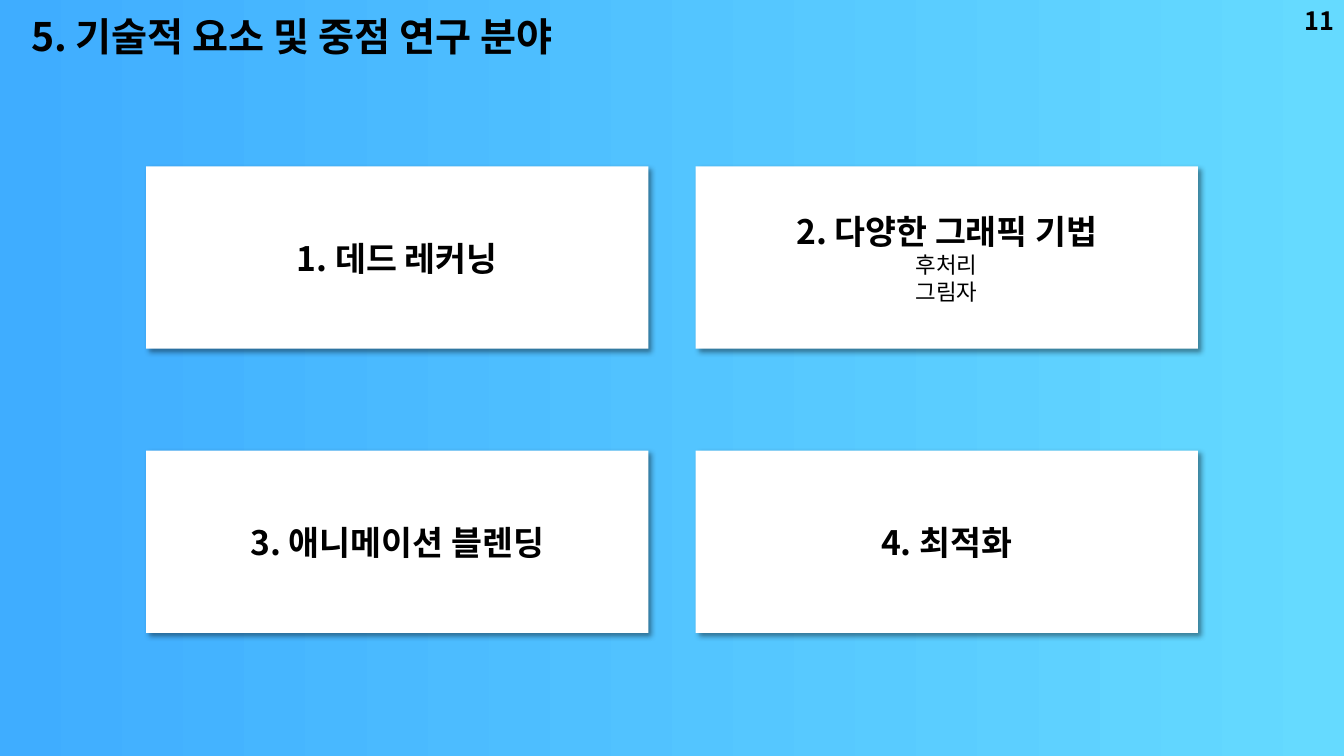
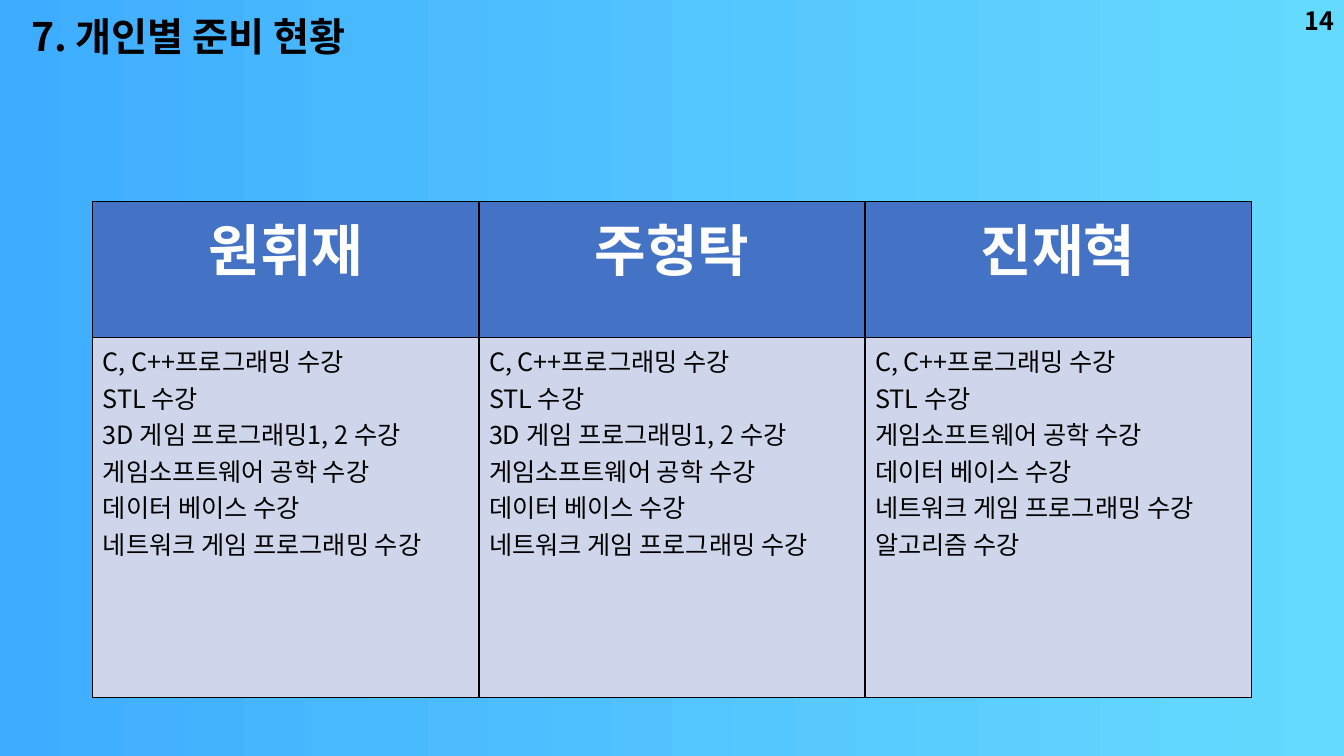
from dataclasses import dataclass

from lxml import etree
from pptx import Presentation
from pptx import util as u
from pptx.dml.color import RGBColor
from pptx.enum import shapes, text
from pptx.oxml import ns

PX = 9144


@dataclass(frozen=True)
class Theme:
    font: str = "Noto Sans CJK KR"
    black: str = "000000"
    white: str = "FFFFFF"
    sky_left: str = "3FADFF"
    sky_right: str = "65DAFF"
    header: str = "4472C4"
    body: str = "CFD5EA"
    title_pt: int = 28
    number_pt: int = 18
    card_pt: int = 24
    note_pt: int = 16
    name_pt: int = 40
    course_pt: int = 18


T = Theme()


def add_node(parent, tag, **attrs):
    return etree.SubElement(parent, ns.qn(tag), {k: str(v) for k, v in attrs.items()})


def style(p, size, color=T.black, bold=True, align=text.PP_ALIGN.LEFT):
    p.alignment = align
    for r in p.runs:
        r.font.size = u.Pt(size)
        r.font.bold = bold
        r.font.name = T.font
        r.font.color.rgb = RGBColor.from_string(color)
        add_node(r.font._element, "a:ea", typeface=T.font)


prs = Presentation()
prs.slide_width, prs.slide_height = 1333 * PX, 750 * PX

sky = prs.slide_master.background.fill
sky.gradient()
sky.gradient_angle = 0
for stop, color in zip(sky.gradient_stops, (T.sky_left, T.sky_right)):
    stop.color.rgb = RGBColor.from_string(color)

slides = []
for title, number in (("5. 기술적 요소 및 중점 연구 분야", "11"), ("7. 개인별 준비 현황", "14")):
    s = prs.slides.add_slide(prs.slide_layouts[6])
    slides.append(s)
    for content, x, y, w, h, size, anchor, align in (
        (title, 21, 7, 608, 57, T.title_pt, text.MSO_ANCHOR.TOP, text.PP_ALIGN.LEFT),
        (number, 1033, 0, 300, 40, T.number_pt, text.MSO_ANCHOR.MIDDLE, text.PP_ALIGN.RIGHT),
    ):
        tf = s.shapes.add_textbox(x * PX, y * PX, w * PX, h * PX).text_frame
        tf.word_wrap = True
        tf.vertical_anchor = anchor
        tf.text = content
        style(tf.paragraphs[0], size, align=align)

research_slide, team_slide = slides

cards = ("1. 데드 레커닝", "2. 다양한 그래픽 기법\n후처리\n그림자", "3. 애니메이션 블렌딩", "4. 최적화")
for i, content in enumerate(cards):
    row, col = divmod(i, 2)
    sp = research_slide.shapes.add_shape(
        shapes.MSO_SHAPE.RECTANGLE, (145 + 545 * col) * PX, (165 + 282 * row) * PX, 498 * PX, 181 * PX)
    sp.fill.solid()
    sp.fill.fore_color.rgb = RGBColor.from_string(T.white)
    sp.line.fill.background()
    sp.shadow.inherit = False
    effects = sp._element.spPr.find(ns.qn("a:effectLst"))
    shadow = add_node(effects, "a:outerShdw", blurRad=u.Pt(4), dist=u.Pt(3),
                      dir=45 * 60000, algn="tl", rotWithShape=0)
    add_node(add_node(shadow, "a:srgbClr", val=T.black), "a:alpha", val=40000)
    tf = sp.text_frame
    tf.vertical_anchor = text.MSO_ANCHOR.MIDDLE
    tf.text = content
    for j, p in enumerate(tf.paragraphs):
        style(p, T.note_pt if j else T.card_pt, bold=j == 0, align=text.PP_ALIGN.CENTER)

basics = ["C, C++프로그래밍 수강", "STL 수강"]
game_3d = ["3D 게임 프로그래밍1, 2 수강"]
common = ["게임소프트웨어 공학 수강", "데이터 베이스 수강", "네트워크 게임 프로그래밍 수강"]
members = (
    ("원휘재", basics + game_3d + common),
    ("주형탁", basics + game_3d + common),
    ("진재혁", basics + common + ["알고리즘 수강"]),
)
table = team_slide.shapes.add_table(2, len(members), 92 * PX, 200 * PX, 1149 * PX, 492 * PX).table
table.rows[0].height, table.rows[1].height = 135 * PX, 357 * PX
for col, (name, courses) in enumerate(members):
    table.columns[col].width = 383 * PX
    for row, (content, fill, size, color, bold, align) in enumerate((
        (name, T.header, T.name_pt, T.white, True, text.PP_ALIGN.CENTER),
        ("\n".join(courses), T.body, T.course_pt, T.black, False, text.PP_ALIGN.LEFT),
    )):
        cell = table.cell(row, col)
        cell.text_frame.text = content
        for p in cell.text_frame.paragraphs:
            style(p, size, color, bold, align)
        tcPr = cell._tc.get_or_add_tcPr()
        for side in "LRTB":
            border = add_node(tcPr, f"a:ln{side}", w=u.Pt(1))
            add_node(add_node(border, "a:solidFill"), "a:srgbClr", val=T.black)
        cell.fill.solid()
        cell.fill.fore_color.rgb = RGBColor.from_string(fill)

prs.save("out.pptx")
